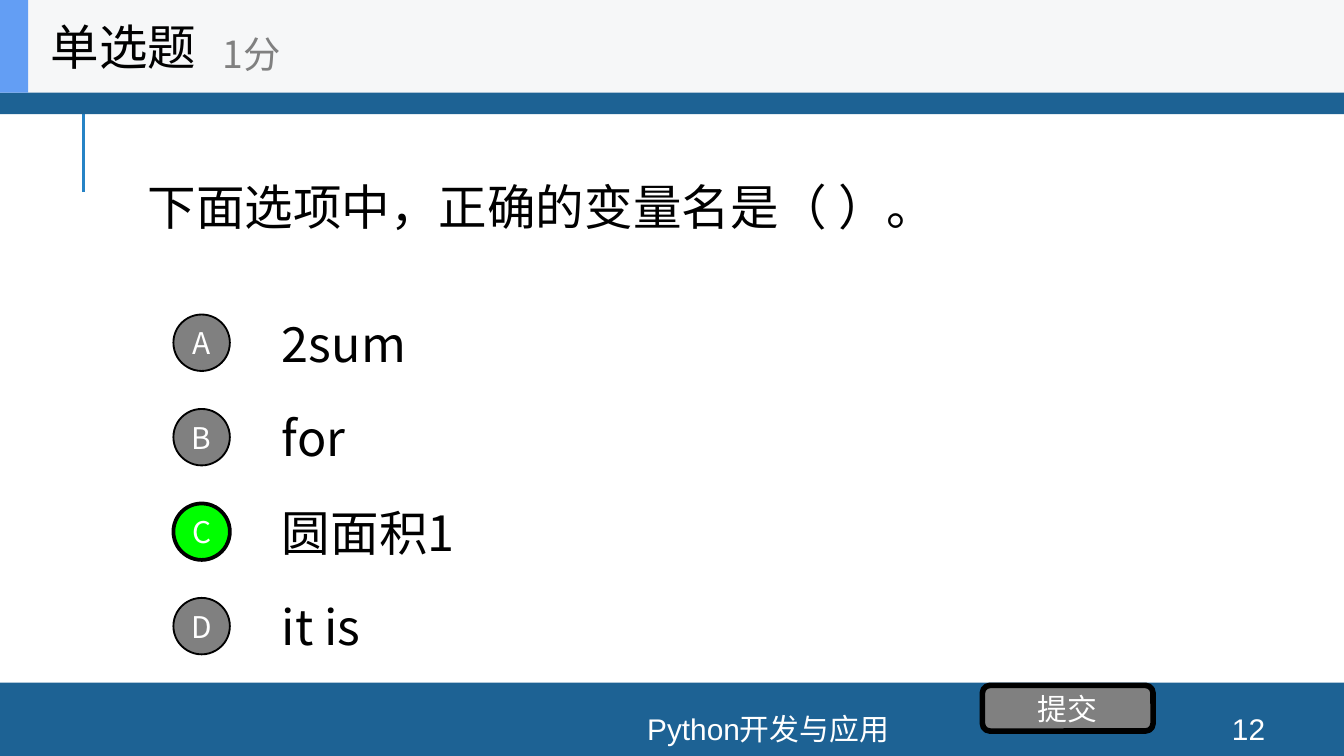
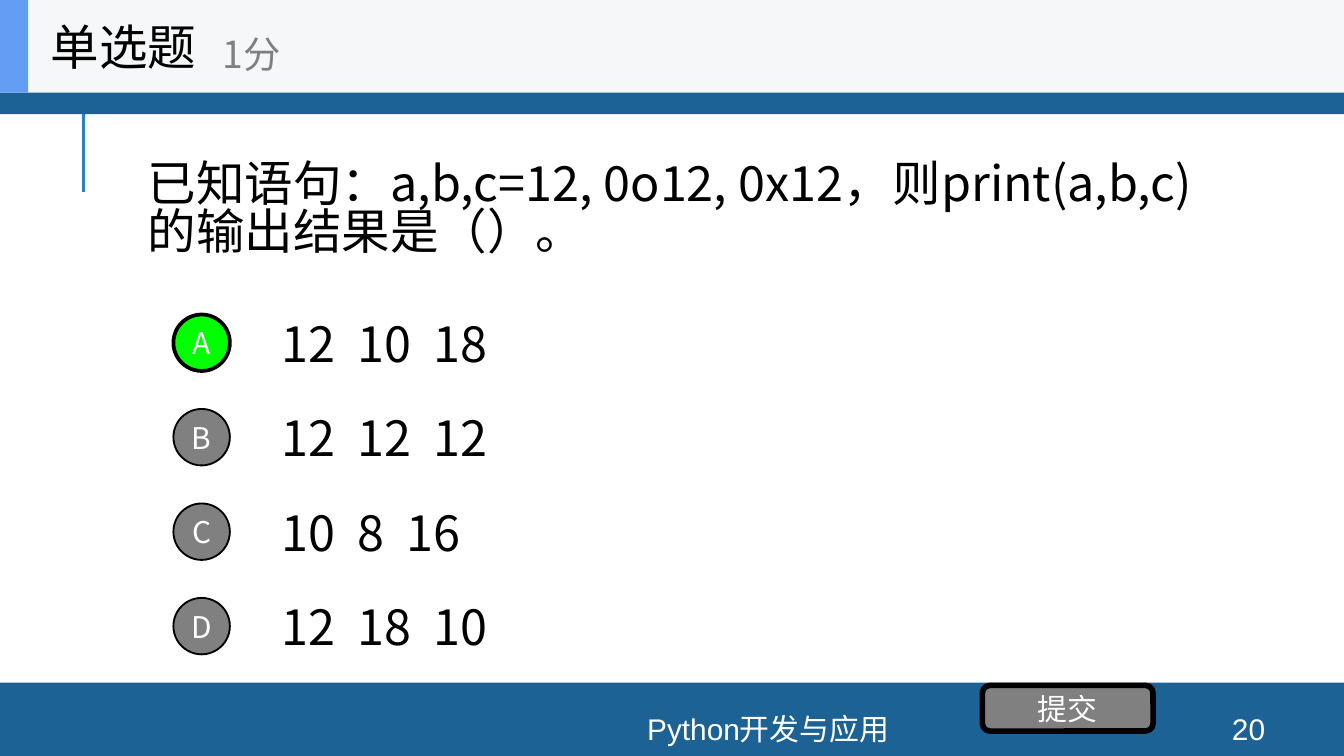
from lxml.etree import SubElement
from pptx import Presentation
from pptx.dml.color import RGBColor
from pptx.enum.shapes import MSO_CONNECTOR, MSO_SHAPE as SHAPE
from pptx.enum.text import MSO_ANCHOR, PP_ALIGN as ALIGN
from pptx.oxml.ns import qn
from pptx.util import Inches, Pt

# Content
COURSE = "Python开发与应用"
KIND, POINTS, SUBMIT = "单选题", "1分", "提交"
QUESTIONS = [
    {"page": 12, "answer": "C",
     "stem": "下面选项中，正确的变量名是（ ）。",
     "options": ["2sum", "for", "圆面积1", "it is"]},
    {"page": 20, "answer": "A",
     "stem": "已知语句：a,b,c=12, 0o12, 0x12，则print(a,b,c)的输出结果是（）。",
     "options": ["12  10  18", "12  12  12", "10  8  16", "12  18  10"]},
]

# Shared look
WHITE = RGBColor(0xFF, 0xFF, 0xFF)
BLACK = RGBColor(0, 0, 0)
GREY = RGBColor(0x80, 0x80, 0x80)
GREEN = RGBColor(0, 0xFF, 0)
BAND_BLUE = RGBColor(0x1D, 0x62, 0x94)
RULE_BLUE = RGBColor(0x26, 0x83, 0xC6)
ACCENT_BLUE = RGBColor(0x63, 0x9E, 0xF4)
HEADER_GREY = RGBColor(0xF6, 0xF7, 0xF8)
CJK, LATIN = "Noto Sans CJK SC", "Arial"
BODY_SIZE, POINTS_SIZE, SMALL_SIZE = 26, 20, 16

# Layout, in inches
WIDTH, HEIGHT = 10, 5.625
HEADER_H = 0.69
FOOTER_TOP = 5.08
STEM_H = 1.76
FIRST_OPTION, OPTION_STEP, OPTION_H = 2.55, 0.703, 0.53  # first row's centre
BADGE = 0.42


def write(shape, text, size, color, font=CJK, align=ALIGN.LEFT, margin=0.1):
    frame = shape.text_frame
    frame.word_wrap = True
    frame.vertical_anchor = MSO_ANCHOR.MIDDLE
    frame.margin_left = frame.margin_right = Inches(margin)
    frame.margin_top = frame.margin_bottom = 0
    paragraph = frame.paragraphs[0]
    paragraph.alignment = align
    run = paragraph.add_run()
    run.text = text
    run.font.size = Pt(size)
    run.font.name = font
    run.font.color.rgb = color
    SubElement(run.font._element, qn("a:ea")).set("typeface", CJK)
    return paragraph


def add_label(parent, box, *args, **style):
    return write(parent.shapes.add_textbox(*map(Inches, box)), *args, **style)


def add_block(parent, box, fill, preset=SHAPE.RECTANGLE, outline=0):
    """Add a filled shape; outline is the black border's width in points."""
    block = parent.shapes.add_shape(preset, *map(Inches, box))
    block.shadow.inherit = False
    block.fill.solid()
    block.fill.fore_color.rgb = fill
    if outline:
        block.line.color.rgb = BLACK
        block.line.width = Pt(outline)
    else:
        block.line.fill.background()
    return block


def add_frame(slide, page):
    rule = slide.shapes.add_connector(
        MSO_CONNECTOR.STRAIGHT, *map(Inches, (0.62, 1.43, 0.62, 0.68)))
    rule.line.color.rgb = RULE_BLUE
    rule.line.width = Pt(1.5)
    SubElement(rule._element.spPr, qn("a:effectLst"))
    add_block(slide, (0, FOOTER_TOP, WIDTH, HEIGHT - FOOTER_TOP), BAND_BLUE)
    add_block(slide, (0, -0.03, WIDTH, 0.88), BAND_BLUE)
    for text, left, width in ((COURSE, 2.61, 6.21), (str(page), 8.89, 0.8)):
        add_label(slide, (left, 5.31, width, 0.23), text, SMALL_SIZE, WHITE,
                  font=LATIN, align=ALIGN.CENTER)


def add_option(slide, row, letter, text, correct):
    middle = FIRST_OPTION + row * OPTION_STEP
    add_label(slide, (2, middle - OPTION_H / 2, 7, OPTION_H),
              text, BODY_SIZE, BLACK)
    badge = add_block(slide, (1.29, middle - BADGE / 2, BADGE, BADGE),
                      GREEN if correct else GREY, SHAPE.OVAL,
                      outline=2 if correct else 1)
    write(badge, letter, SMALL_SIZE, WHITE, align=ALIGN.CENTER, margin=0)


def add_header(slide):
    header = slide.shapes.add_group_shape()
    add_block(header, (0, 0, WIDTH, HEADER_H), HEADER_GREY)
    add_block(header, (0, 0, 0.21, HEADER_H), ACCENT_BLUE)
    add_label(header, (0.28, 0, 2.08, HEADER_H), KIND, BODY_SIZE, BLACK)
    add_label(header, (1.56, 0.12, 2.5, 0.56), POINTS, POINTS_SIZE, GREY)


def add_question(deck, question):
    slide = deck.slides.add_slide(deck.slide_layouts[6])
    add_frame(slide, question["page"])
    stem = add_label(slide, (1, HEADER_H, 8, STEM_H),
                     question["stem"], BODY_SIZE, BLACK)
    stem.line_spacing = 0.82
    for row, (letter, text) in enumerate(zip("ABCD", question["options"])):
        add_option(slide, row, letter, text, letter == question["answer"])
    submit = add_block(slide, (7.31, 5.1, 1.27, 0.34), GREY,
                       SHAPE.ROUNDED_RECTANGLE, outline=3)
    write(submit, SUBMIT, SMALL_SIZE, WHITE, align=ALIGN.CENTER)
    add_header(slide)


def main():
    deck = Presentation()
    deck.slide_width, deck.slide_height = Inches(WIDTH), Inches(HEIGHT)
    for question in QUESTIONS:
        add_question(deck, question)
    deck.save("out.pptx")


if __name__ == "__main__":
    main()
